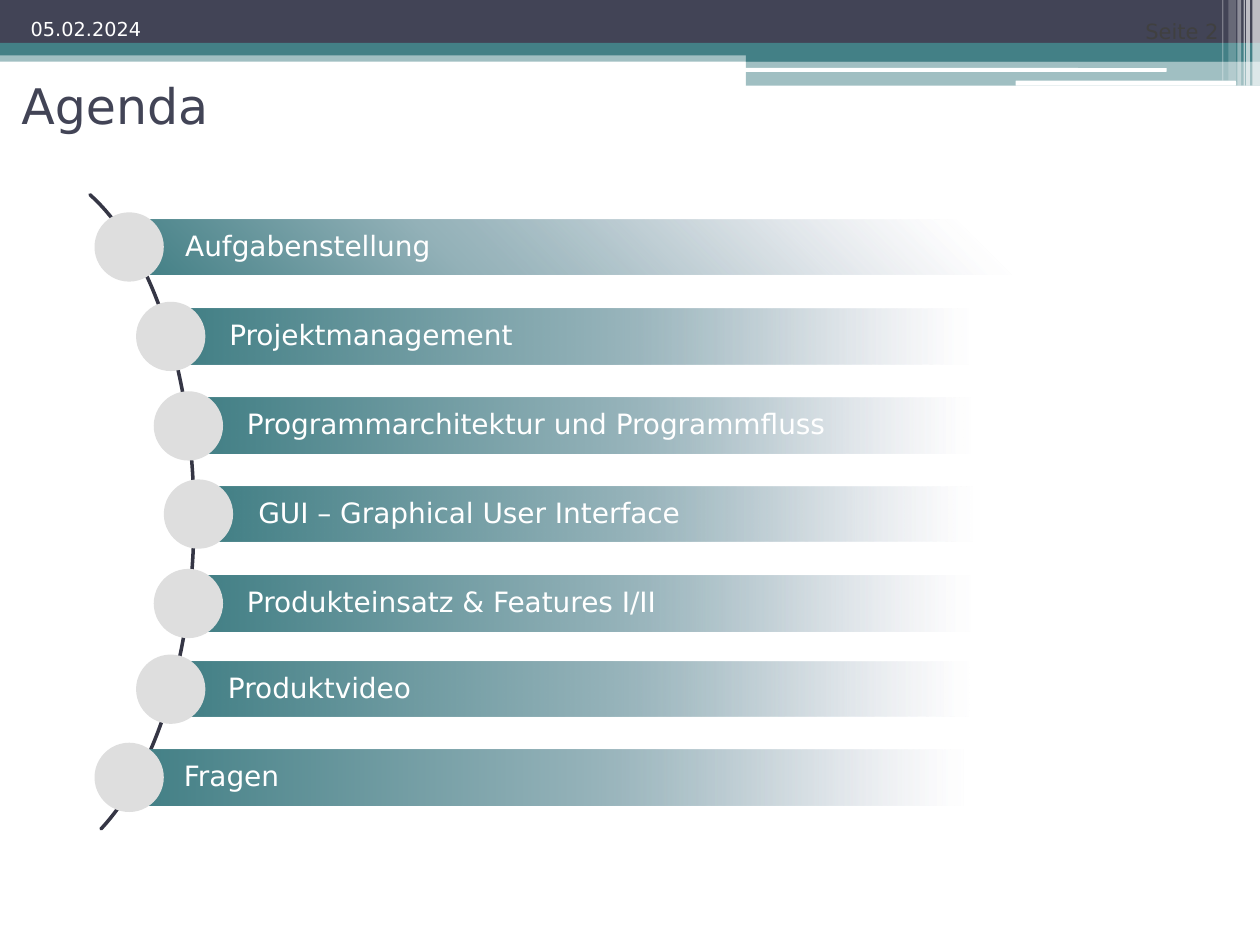
"""Build the agenda slide with its header band and curved list of topics."""
from pptx import Presentation
from pptx import util as u
from pptx.dml import color
from pptx.enum import shapes, text
from pptx.oxml import ns, parse_xml

COLORS = {
    "navy": "424456", "teal": "438086", "white": "FFFFFF", "dot": "DEDEDE",
    "arc": "353645", "page": "404040", "lilac": "A3A4C3", "mist": "94B2B9", "haze": "E4E4EC",
}
KINDS = shapes.MSO_SHAPE
ANCHOR = text.MSO_ANCHOR
ALIGN = text.PP_ALIGN
DRAWING = "http://schemas.openxmlformats.org/drawingml/2006/main"
LINEAR = '<a:lin ang="0" scaled="0"/>'
CORNER = '<a:path path="circle"><a:fillToRect t="100000" r="100000"/></a:path>'

BANDS = [
    (KINDS.RECTANGLE, 0, 4, 100, 0.9, "teal", 50),
    (KINDS.RECTANGLE, 0, 0, 100, 3.4, "navy", 100),
    (KINDS.RECTANGLE, 0, 3.4, 100, 1, "teal", 100),
    (KINDS.RECTANGLE, 59.2, 3.9, 40.8, 1, "teal", 100),
    (KINDS.RECTANGLE, 59.2, 4.8, 40.8, 2, "teal", 50),
    (KINDS.ROUNDED_RECTANGLE, 59.1, 5.4, 33.5, 0.3, "white", 100),
    (KINDS.ROUNDED_RECTANGLE, 80.6, 6.4, 17.5, 0.4, "white", 100),
]
STRIPES = [
    (99.4, 0.6, 6.8, 65), (98.9, 0.3, 6.8, 65), (98.7, 0.1, 6.8, 60),
    (98.2, 0.3, 6.8, 40), (97.5, 0.6, 6.4, 20), (97, 0.1, 6.4, 30),
]
TOPICS = [
    ("Aufgabenstellung", 11.2, 7.5, 17.4),
    ("Projektmanagement", 14.7, 10.8, 24.5),
    ("Programmarchitektur und Programmfluss", 16.1, 12.2, 31.6),
    ("GUI – Graphical User Interface", 17, 13, 38.6),
    ("Produkteinsatz & Features I/II", 16.1, 12.2, 45.7),
    ("Produktvideo", 14.6, 10.8, 52.5),
    ("Fragen", 11.1, 7.5, 59.5),
]
BAR_RIGHT = 85.45
BAR_ROWS = 4.4
DOT_SIZE = 5.5


class Sheet:
    """Holds the style and the current slide, on a grid of 100 columns by 75 rows."""

    font = "DejaVu Sans"

    def __init__(self, deck):
        self.page = deck.slides.add_slide(deck.slide_layouts[5])
        self.column = deck.slide_width / 100
        self.row = deck.slide_height / 75

    def area(self, left, top, width, height):
        """Turn grid places into lengths."""
        return [u.Emu(round(n * unit)) for n, unit in
                zip((left, top, width, height), (self.column, self.row) * 2)]

    def shape(self, kind, *place, fill=None, alpha=100):
        """Add a borderless preset shape."""
        shape = self.page.shapes.add_shape(kind, *self.area(*place))
        shape.shadow.inherit = False
        shape.line.fill.background()
        if fill is None:
            shape.fill.background()
            return shape
        shape.fill.solid()
        shape.fill.fore_color.rgb = color.RGBColor.from_string(COLORS[fill])
        if alpha < 100:
            tone = shape.element.spPr.find(".//" + ns.qn("a:srgbClr"))
            tone.append(parse_xml(f'<a:alpha xmlns:a="{DRAWING}" val="{alpha * 1000}"/>'))
        return shape

    def arc(self, *place, start, end):
        """Add a thin outlined arc between two angle adjustments."""
        arc = self.shape(KINDS.BLOCK_ARC, *place)
        for index, value in enumerate((start, end, 0)):
            arc.adjustments[index] = value
        arc.line.color.rgb = color.RGBColor.from_string(COLORS["arc"])
        arc.line.width = u.Pt(2)

    def bar(self, *place, middle, direction):
        """Add a bar that fades out to the right."""
        bar = self.shape(KINDS.RECTANGLE, *place)
        stops = [(0, "lilac", 100), (0, "teal", 100), (middle, "mist", 100), (88, "haze", 0)]
        marks = "".join(
            f'<a:gs pos="{at * 1000}"><a:srgbClr val="{COLORS[tone]}">'
            f'<a:alpha val="{alpha * 1000}"/></a:srgbClr></a:gs>' for at, tone, alpha in stops)
        bar.fill.gradient()
        frame = bar.element.spPr
        frame.replace(frame.find(ns.qn("a:gradFill")), parse_xml(
            f'<a:gradFill xmlns:a="{DRAWING}" rotWithShape="1">'
            f"<a:gsLst>{marks}</a:gsLst>{direction}</a:gradFill>"))
        return bar

    def put_text(self, box, words, size, tone, align=ALIGN.LEFT, anchor=ANCHOR.MIDDLE):
        """Set one line of text in a box."""
        frame = box.text_frame
        frame.word_wrap = True
        frame.auto_size = text.MSO_AUTO_SIZE.NONE
        frame.vertical_anchor = anchor
        para = frame.paragraphs[0]
        para.alignment = align
        span = para.add_run()
        span.text = words
        span.font.name = self.font
        span.font.size = u.Pt(size)
        span.font.color.rgb = color.RGBColor.from_string(COLORS[tone])
        return frame

    def label(self, words, *place, size, tone):
        """Add a right-aligned header label."""
        box = self.page.shapes.add_textbox(*self.area(*place))
        self.put_text(box, words, size, tone, ALIGN.RIGHT, ANCHOR.BOTTOM)

    def title(self, words, *place):
        """Move and fill the title placeholder."""
        title = self.page.shapes.title
        title.left, title.top, title.width, title.height = self.area(*place)
        self.put_text(title, words, 28, "navy")

    def topic(self, words, left, dot, top, middle, direction):
        """Add a doubled fading bar with its text and its dot."""
        place = (left, top, BAR_RIGHT - left, BAR_ROWS)
        for _ in range(2):
            bar = self.bar(*place, middle=middle, direction=direction)
        frame = self.put_text(bar, words, 16, "white")
        frame.margin_left = u.Inches(0.35)
        frame.margin_top = frame.margin_right = frame.margin_bottom = u.Inches(0.04)
        frame.paragraphs[0].line_spacing = 0.9
        dot_top = top + (BAR_ROWS - DOT_SIZE) / 2
        self.shape(KINDS.OVAL, dot, dot_top, DOT_SIZE, DOT_SIZE, fill="dot")


def main():
    """Draw the header, the arc and the topics, then save."""
    deck = Presentation()
    deck.slide_width, deck.slide_height = u.Inches(10), u.Inches(7.5)
    sheet = Sheet(deck)
    for kind, left, top, width, height, fill, alpha in BANDS:
        sheet.shape(kind, left, top, width, height, fill=fill, alpha=alpha)
    for left, width, height, alpha in STRIPES:
        sheet.shape(KINDS.RECTANGLE, left, 0, width, height, fill="white", alpha=alpha)
    sheet.label("Seite 2", 79.9, 0, 17.8, 4, size=12, tone="page")
    sheet.arc(-12.2, 13.1, 27.6, 55.9, start=169.34, end=45.27)
    for index, topic in enumerate(TOPICS):
        middle, direction = (47, LINEAR) if index else (33, CORNER)
        sheet.topic(*topic, middle, direction)
    sheet.title("Agenda", 0.7, 5.2, 90, 6.3)
    sheet.label("05.02.2024", 0.7, -0.3, 11.5, 4, size=11, tone="white")
    deck.save("out.pptx")


if __name__ == "__main__":
    main()
